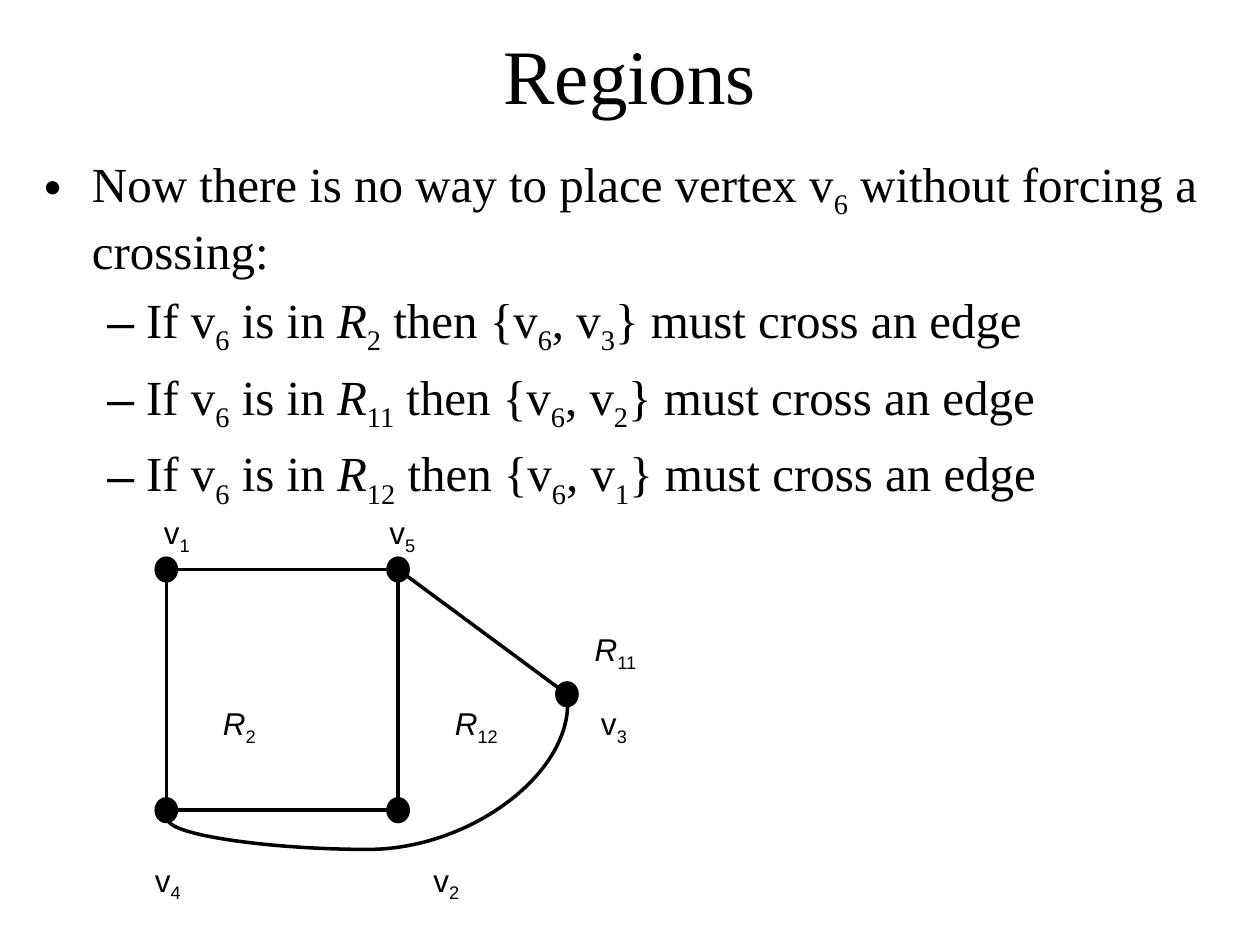
from pptx import Presentation, util as u
from pptx.dml.color import RGBColor
from pptx.enum import shapes, text
from lxml import etree

COLORS = {"ink": "000000", "paper": "FFFFFF"}
INK = RGBColor.from_string(COLORS["ink"])
DRAWING = "{http://schemas.openxmlformats.org/drawingml/2006/main}"


def write(paragraph, markup, font, size):
    """Parts are split by |; a leading _ is a subscript, a leading * is italic."""
    for part in markup.split("|"):
        run = paragraph.add_run()
        run.text = part.lstrip("_*")
        run.font.name, run.font.size = font, u.Pt(size)
        run.font.color.rgb = INK
        run.font.italic = part.startswith("*")
        if part.startswith("_"):
            run.font._element.set("baseline", "-25000")


def connect(slide, kind, start, end):
    line = slide.shapes.add_connector(kind, *[u.Inches(n) for n in (*start, *end)])
    line.line.color.rgb = INK
    line.line.width = u.Pt(2)
    etree.SubElement(line._element.spPr, DRAWING + "effectLst")
    return line


presentation = Presentation()
presentation.slide_width, presentation.slide_height = u.Inches(10), u.Inches(7.5)
slide = presentation.slides.add_slide(presentation.slide_layouts[1])
slide.background.fill.solid()
slide.background.fill.fore_color.rgb = RGBColor.from_string(COLORS["paper"])

# Title and body placeholders
title, body = slide.placeholders
for shape, box in ((title, (0.5, 0.17, 9, 0.83)), (body, (0.25, 1.17, 9.42, 3.17))):
    shape.left, shape.top, shape.width, shape.height = [u.Inches(n) for n in box]
    shape.text_frame.auto_size = text.MSO_AUTO_SIZE.NONE
title.text_frame.vertical_anchor = text.MSO_ANCHOR.MIDDLE
title.text_frame.paragraphs[0].alignment = text.PP_ALIGN.CENTER
write(title.text_frame.paragraphs[0], "Regions", "Times New Roman", 44)

# Bullets: one statement, then one case for each region
cases = [("2", "3"), ("11", "2"), ("12", "1")]
bullets = ["Now there is no way to place vertex v|_6| without forcing a crossing:"]
bullets += [f"If v|_6| is in |*R|_{region}| then {{v|_6|, v|_{vertex}|}} must cross an edge"
            for region, vertex in cases]
for index, markup in enumerate(bullets):
    frame = body.text_frame
    paragraph = frame.add_paragraph() if index else frame.paragraphs[0]
    paragraph.level = min(index, 1)
    margin, indent, bullet = (0.81, -0.31, "–") if index else (0.38, -0.38, "•")
    properties = paragraph._p.get_or_add_pPr()
    properties.set("marL", str(u.Inches(margin)))
    properties.set("indent", str(u.Inches(indent)))
    etree.SubElement(properties, DRAWING + "buChar").set("char", bullet)
    write(paragraph, markup, "Times New Roman", 28)

# Graph vertices, by centre
left, right, top, bottom = 1.32, 3.16, 4.52, 6.43
vertices = {"v1": (left, top), "v5": (right, top), "v4": (left, bottom),
            "v2": (right, bottom), "v3": (4.5, 5.51)}
dot_width, dot_height = 0.16, 0.18
for x, y in vertices.values():
    dot = slide.shapes.add_shape(
        shapes.MSO_SHAPE.OVAL, u.Inches(x - dot_width / 2), u.Inches(y - dot_height / 2),
        u.Inches(dot_width), u.Inches(dot_height))
    dot.shadow.inherit = False
    dot.fill.solid()
    dot.fill.fore_color.rgb = INK
    dot.line.color.rgb = INK
    dot.line.width = u.Pt(2)

# Straight edges
for start, end in (("v1", "v4"), ("v5", "v2"), ("v2", "v4"), ("v5", "v1"), ("v5", "v3")):
    connect(slide, shapes.MSO_CONNECTOR.STRAIGHT, vertices[start], vertices[end])

# Curved edge from v3 to v4, turned a quarter so that it bulges downwards
curve = connect(slide, shapes.MSO_CONNECTOR.CURVE, (2.46, 4.46), (3.38, 7.63))
curve._element.spPr.find(DRAWING + "xfrm").set("rot", "5400000")
adjustments = curve._element.spPr.find(DRAWING + "prstGeom").get_or_add_avLst()
guide = etree.SubElement(adjustments, DRAWING + "gd")
guide.set("name", "adj1")
guide.set("fmla", "val 125700")

# Vertex and region labels
labels = [("v|_1", 1.3, 4.07), ("v|_5", 3.09, 4.07), ("*R|_11", 4.72, 5),
          ("*R|_2", 1.77, 5.59), ("*R|_12", 3.61, 5.59), ("v|_3", 4.77, 5.59),
          ("v|_4", 1.23, 6.83), ("v|_2", 3.44, 6.83)]
for markup, x, y in labels:
    label = slide.shapes.add_textbox(u.Inches(x), u.Inches(y), u.Inches(0.5), u.Inches(0.3))
    frame = label.text_frame
    frame.margin_left = frame.margin_right = frame.margin_top = frame.margin_bottom = 0
    write(frame.paragraphs[0], markup, "Arial", 18)

presentation.save("out.pptx")
